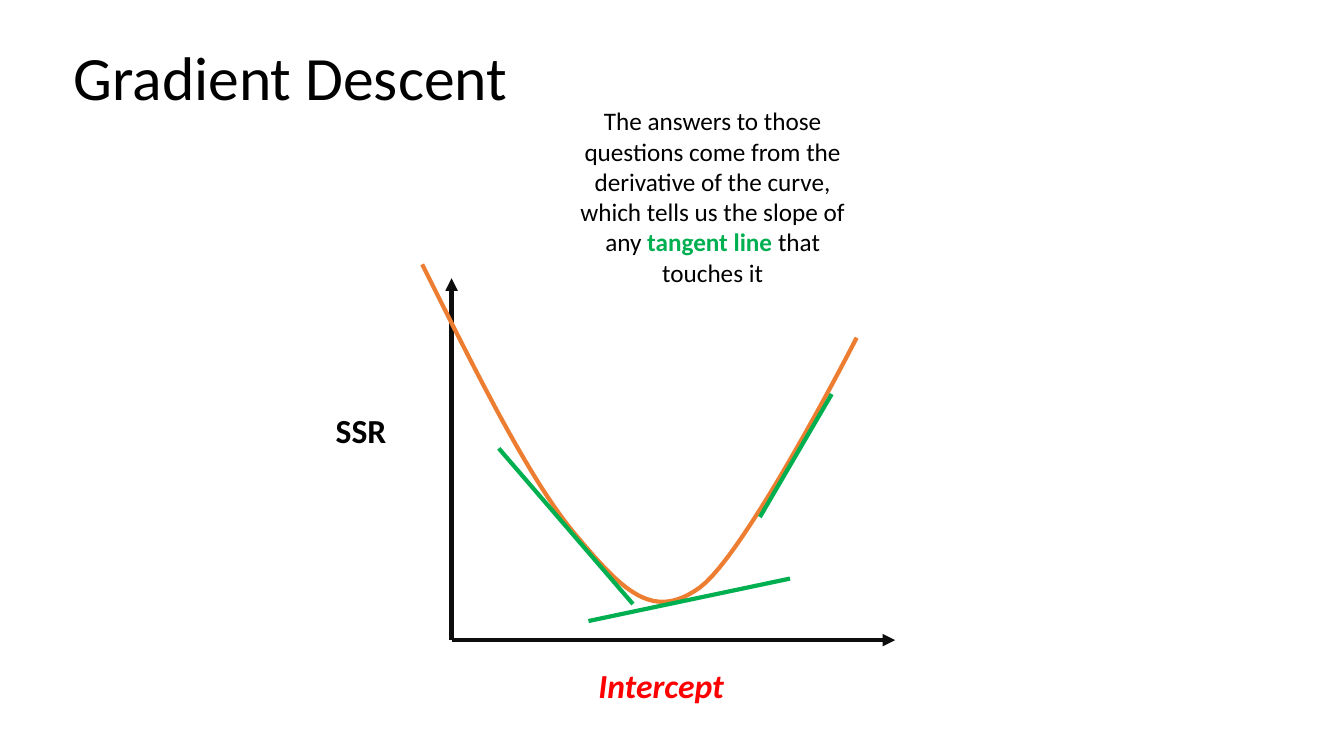
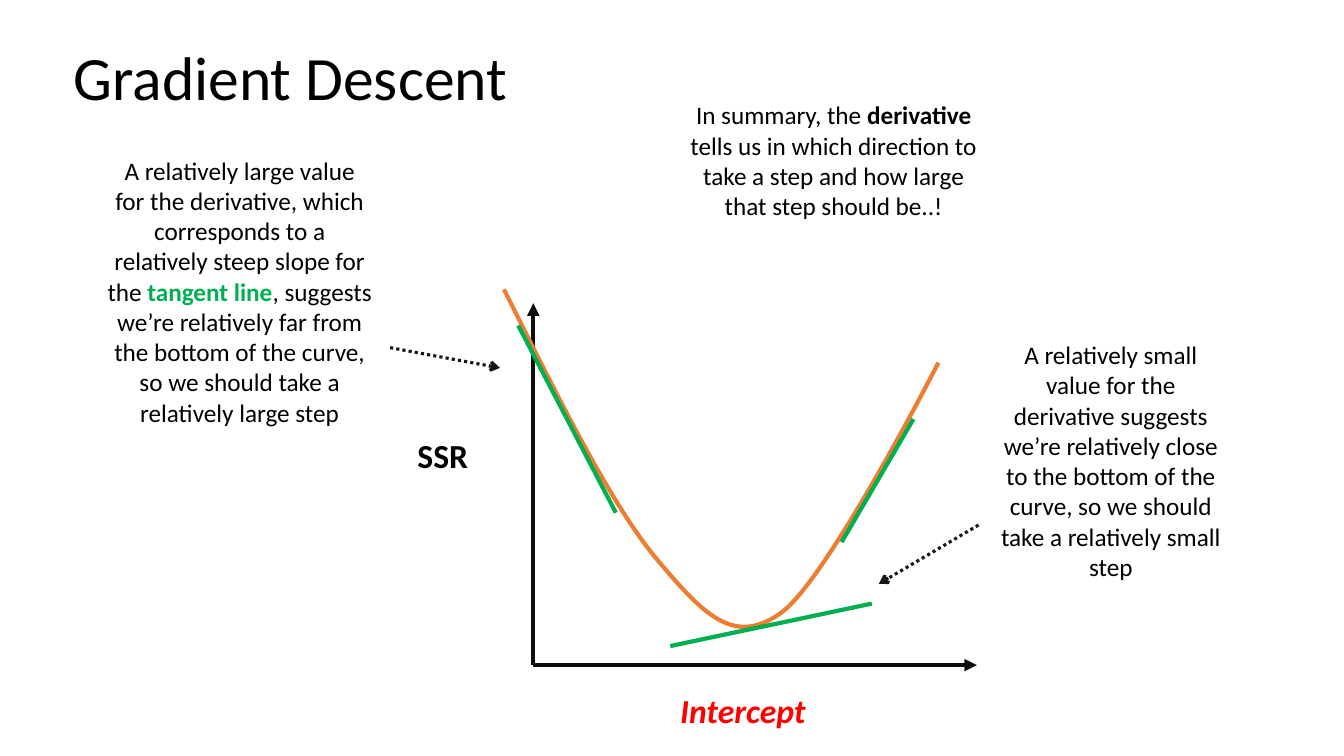
import dataclasses

import lxml.etree
import pptx
import pptx.dml.color
import pptx.enum.dml
import pptx.enum.shapes
import pptx.enum.text
import pptx.oxml.ns
import pptx.util

Cm = pptx.util.Cm
Pt = pptx.util.Pt
Align = pptx.enum.text.PP_ALIGN
AutoSize = pptx.enum.text.MSO_AUTO_SIZE


@dataclasses.dataclass(frozen=True)
class Theme:
    font: str = "Calibri"
    black: str = "000000"
    axis: str = "0D0D0D"
    curve: str = "ED7D31"
    tangent: str = "00B050"
    pointer: str = "181717"
    intercept: str = "FF0000"
    title_size: float = 44
    label_size: float = 24
    note_size: float = 18
    line_width: float = 3
    pointer_width: float = 2.25


theme = Theme()


def write_text(box, spans, *, size, color=theme.black, bold=False, italic=False,
               align=Align.LEFT, spacing=None, auto_size=AutoSize.SHAPE_TO_FIT_TEXT):
    """Fill a box with one paragraph; each span is (text, its own format)."""
    frame = box.text_frame
    frame.word_wrap = True
    frame.auto_size = auto_size
    para = frame.paragraphs[0]
    para.alignment = align
    para.line_spacing = spacing
    for text, own in spans:
        span = para.add_run()
        span.text = text
        span.font.name = theme.font
        span.font.size = Pt(size)
        span.font.bold = own.get("bold", bold)
        span.font.italic = italic
        span.font.color.rgb = pptx.dml.color.RGBColor.from_string(own.get("color", color))


def add_line(shapes, start, end, color, width=theme.line_width, head=None, dash=None):
    ends = [Cm(value) for value in (*start, *end)]
    line = shapes.add_connector(pptx.enum.shapes.MSO_CONNECTOR.STRAIGHT, *ends)
    line.line.color.rgb = pptx.dml.color.RGBColor.from_string(color)
    line.line.width = Pt(width)
    if dash:
        line.line.dash_style = dash
    properties = line.element.spPr
    if head:
        outline = properties.find(pptx.oxml.ns.qn("a:ln"))
        lxml.etree.SubElement(outline, pptx.oxml.ns.qn("a:tailEnd"), type=head)
    lxml.etree.SubElement(properties, pptx.oxml.ns.qn("a:effectLst"))


# Plot geometry in centimetres, measured from the corner of the axes
axis_ends = [(0, -9.12), (11.18, 0)]
plot_labels = [
    ("SSR", (-3.17, -5.92), 3.6, {}),
    ("Intercept", (3.45, 0.51), 5.2, {"color": theme.intercept, "italic": True}),
]
curve_pieces = [
    [(-0.74, -9.47), (0.64, -6.71), (2.01, -3.94), (3.18, -2.59)],
    [(3.18, -2.59), (4.34, -1.22), (5.08, -0.48), (6.25, -1.32)],
    [(6.25, -1.32), (7.42, -2.16), (10.21, -7.62), (10.21, -7.62)],
]
steps = 24
shared_tangents = [((3.45, -0.48), (8.53, -1.55)), ((7.77, -3.1), (9.58, -6.2))]

green = {"color": theme.tangent, "bold": True}
slides = [
    {
        "origin": (11.38, 16.13),
        "left_tangent": ((1.19, -4.83), (4.57, -0.91)),
        "notes": [
            ((13.92, 2.54, 8.08, 4.88), [
                ("The answers to those questions come from the derivative of the curve, "
                 "which tells us the slope of any ", {}),
                ("tangent line ", green),
                ("that touches it", {}),
            ]),
        ],
        "pointers": [],
    },
    {
        "origin": (13.44, 16.76),
        "left_tangent": ((-0.38, -8.56), (2.08, -3.84)),
        "notes": [
            ((2.46, 3.78, 7.16, 7.19), [
                ("A relatively large value for the derivative, which corresponds to a "
                 "relatively steep slope for the ", {}),
                ("tangent line", green),
                (", suggests we’re relatively far from the bottom of the curve, "
                 "so we should take a relatively large step", {}),
            ]),
            ((24.87, 8.43, 6.25, 6.4), [
                ("A relatively small value for the derivative suggests we’re relatively "
                 "close to the bottom of the curve, so we should take a relatively "
                 "small step", {}),
            ]),
            ((16.97, 2.39, 8.08, 3.33), [
                ("In summary, the ", {}),
                ("derivative", {"bold": True}),
                (" tells us in which direction to take a step and how large that step "
                 "should be..!", {}),
            ]),
        ],
        "pointers": [((9.83, 8.76), (12.6, 9.27)), ((24.66, 13.23), (22.15, 14.71))],
    },
]

deck = pptx.Presentation()
deck.slide_width = Cm(33.87)
deck.slide_height = Cm(19.05)
title_only = deck.slide_layouts[5]

for content in slides:
    page = deck.slides.add_slide(title_only)
    title = page.shapes.title
    title.left, title.top, title.width, title.height = Cm(1.6), Cm(0.2), Cm(17.32), Cm(3.68)
    title.text_frame.vertical_anchor = pptx.enum.text.MSO_ANCHOR.MIDDLE
    write_text(title, [("Gradient Descent", {})], size=theme.title_size, spacing=0.9,
               auto_size=AutoSize.NONE)

    left, top = content["origin"]
    plot = page.shapes.add_group_shape().shapes
    for x, y in axis_ends:
        add_line(plot, (left, top), (left + x, top + y), theme.axis, head="triangle")

    for text, (x, y), width, style in plot_labels:
        box = plot.add_textbox(Cm(left + x), Cm(top + y), Cm(width), Cm(1.6))
        write_text(box, [(text, {})], size=theme.label_size, bold=True, **style)

    curve_points = []
    for piece in curve_pieces:
        for step in range(steps + 1):
            t = step / steps
            weights = ((1 - t) ** 3, 3 * t * (1 - t) ** 2, 3 * t ** 2 * (1 - t), t ** 3)
            x = sum(weight * point[0] for weight, point in zip(weights, piece))
            y = sum(weight * point[1] for weight, point in zip(weights, piece))
            curve_points.append((Cm(left + x), Cm(top + y)))
    builder = plot.build_freeform(*curve_points[0])
    builder.add_line_segments(curve_points[1:], close=False)
    curve = builder.convert_to_shape()
    curve.shadow.inherit = False
    curve.fill.background()
    curve.line.color.rgb = pptx.dml.color.RGBColor.from_string(theme.curve)
    curve.line.width = Pt(theme.line_width)

    for (x1, y1), (x2, y2) in [content["left_tangent"], *shared_tangents]:
        add_line(plot, (left + x1, top + y1), (left + x2, top + y2), theme.tangent)

    for place, spans in content["notes"]:
        box = page.shapes.add_textbox(*[Cm(value) for value in place])
        write_text(box, spans, size=theme.note_size, align=Align.CENTER)

    for start, end in content["pointers"]:
        add_line(page.shapes, start, end, theme.pointer, theme.pointer_width, head="arrow",
                 dash=pptx.enum.dml.MSO_LINE.ROUND_DOT)

deck.save("out.pptx")
